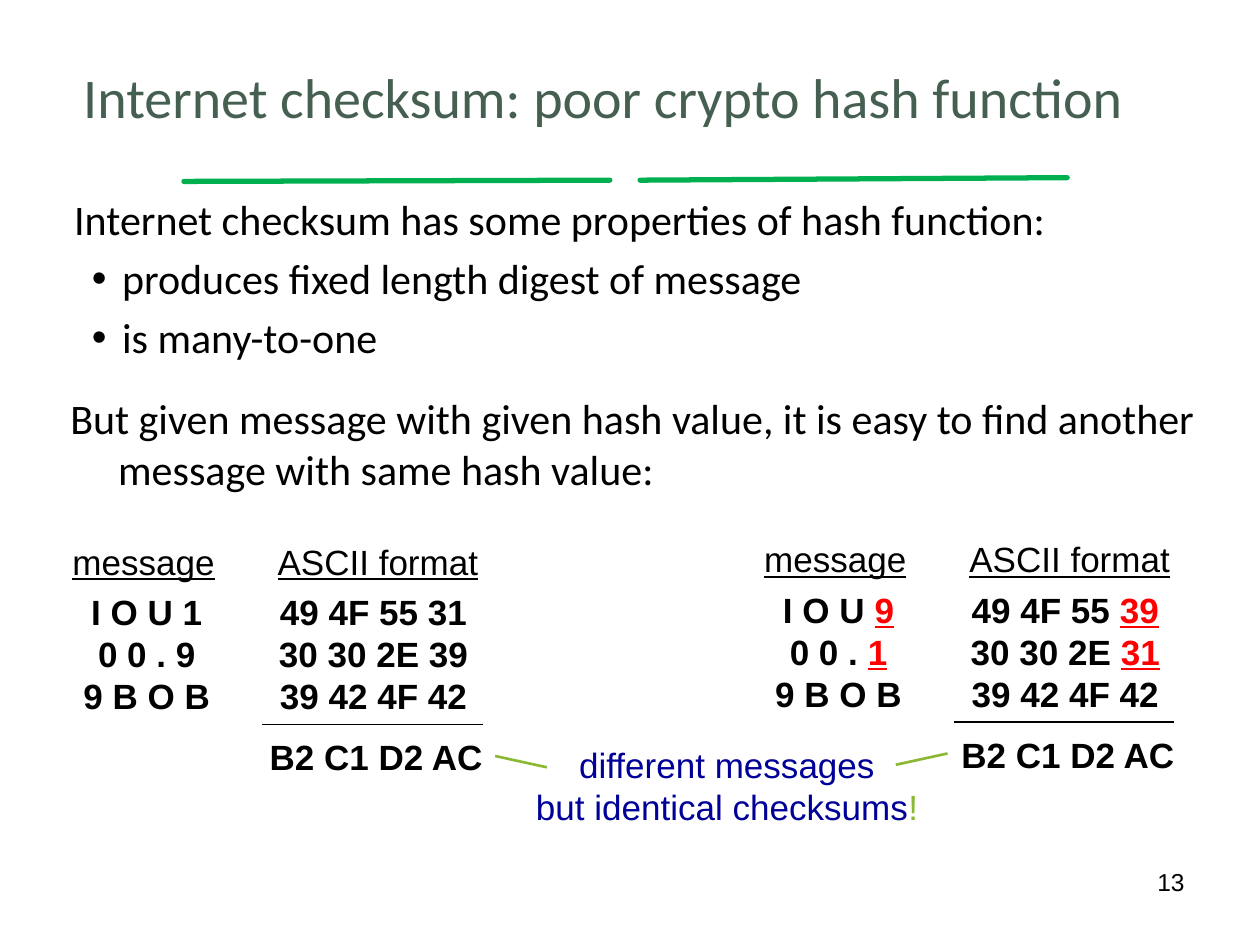
import pptx
import pptx.util
import pptx.dml.color
import pptx.enum.shapes
import pptx.enum.text
import pptx.oxml.ns
import lxml.etree

Inches, Pt = pptx.util.Inches, pptx.util.Pt
ALIGN = pptx.enum.text.PP_ALIGN
ANCHOR = pptx.enum.text.MSO_ANCHOR
HEX = {"title": "455F51", "rule": "00B050", "ink": "000000",
       "mark": "FF0000", "note": "000099", "lime": "8AB833"}

TITLE = "Internet checksum: poor crypto hash function"
PROPS = ["Internet checksum has some properties of hash function:",
         "produces fixed length digest of message",
         "is many-to-one"]
CLAIM = ["But given message with given hash value, it is easy to find "
         "another message with same hash value:"]
NOTE = ["different messages", "but identical checksums*!"]
SUM = ["B2 C1 D2 AC"]
CASES = [
    (0.47, 4.24, ["I O U 1", "0 0 . 9", "9 B O B"],
     ["49 4F 55 31", "30 30 2E 39", "39 42 4F 42"]),
    (5.96, 4.22, ["I O U *9", "0 0 . *1", "9 B O B"],
     ["49 4F 55 *39", "30 30 2E *31", "39 42 4F 42"]),
]
RULES = [(1.46, 1.44, 4.84, 1.43), (5.08, 1.43, 8.47, 1.41)]
LINKS = [(4.34, 6.09, 3.93, 6), (7.11, 6.07, 7.52, 5.98)]


def paint(run, size, font, color, bold=False, under=False):
    run.font.size = Pt(size)
    run.font.name = font
    run.font.bold = bold
    run.font.underline = under
    run.font.color.rgb = pptx.dml.color.RGBColor.from_string(HEX[color])


def label(box, rows, size=20, font="Arial", color="ink", mark="mark",
          bold=False, under=False, wrap=False, align=ALIGN.CENTER):
    shape = slide.shapes.add_textbox(*map(Inches, box))
    frame = shape.text_frame
    frame.word_wrap = wrap
    for i, row in enumerate(rows):
        para = frame.paragraphs[0] if i == 0 else frame.add_paragraph()
        para.alignment = align
        for j, part in enumerate(row.split("*")):
            run = para.add_run()
            run.text = part
            paint(run, size, font, mark if j else color, bold,
                  under or (j > 0 and mark == "mark"))
    return frame.paragraphs


def prose(box, rows):
    paras = label(box, rows, 24, "Calibri", wrap=True, align=ALIGN.LEFT)
    for i, para in enumerate(paras):
        para.space_before = Pt(4.8)
        props = para._p.get_or_add_pPr()
        props.set("marL", str(Inches(0.38)))
        props.set("indent", str(Inches(-0.24 if i else -0.38)))
        if i:
            for tag, key, val in [("a:buFont", "typeface", "Arial"),
                                  ("a:buChar", "char", "•")]:
                lxml.etree.SubElement(props, pptx.oxml.ns.qn(tag)).set(key, val)


def line(ends, color, width, cap=None):
    wire = slide.shapes.add_connector(
        pptx.enum.shapes.MSO_CONNECTOR.STRAIGHT, *map(Inches, ends))
    wire.line.color.rgb = pptx.dml.color.RGBColor.from_string(HEX[color])
    wire.line.width = Pt(width)
    if cap:
        wire.line._get_or_add_ln().set("cap", cap)
    lxml.etree.SubElement(wire._element.spPr, pptx.oxml.ns.qn("a:effectLst"))


deck = pptx.Presentation()
deck.slide_width, deck.slide_height = Inches(10), Inches(7.5)
slide = deck.slides.add_slide(deck.slide_layouts[5])

for ends in RULES:
    line(ends, "rule", 3, "rnd")

head = slide.shapes.title
head.left, head.top, head.width, head.height = map(Inches, (0.35, 0.3, 8.88, 0.92))
head.text_frame.text = TITLE
head.text_frame.vertical_anchor = ANCHOR.MIDDLE
head.text_frame.paragraphs[0].alignment = ALIGN.CENTER
paint(head.text_frame.paragraphs[0].runs[0], 32, "Calibri", "title")

prose((0.49, 1.49, 9.21, 1.5), PROPS)
prose((0.46, 3.07, 9.21, 1.07), CLAIM)

for x, y, text, code in CASES:
    label((x, y, 1.34, 0.44), ["message"], under=True)
    label((x + 1.63, y, 1.8, 0.44), ["ASCII format"], under=True)
    label((x + 0.09, y + 0.4, 1.21, 1.11), text, bold=True)
    label((x + 1.63, y + 0.4, 1.73, 1.11), code, bold=True)
    line((x + 1.61, y + 1.51, x + 3.36, y + 1.51), "ink", 0.75)
    label((x + 1.56, y + 1.55, 1.91, 0.44), SUM, bold=True)

label((4.09, 5.85, 3.36, 0.77), NOTE, color="note", mark="lime")
for ends in LINKS:
    line(ends, "lime", 1.5)
label((7.17, 6.83, 2.33, 0.52), ["13"], 14, wrap=True, align=ALIGN.RIGHT)

deck.save("out.pptx")
